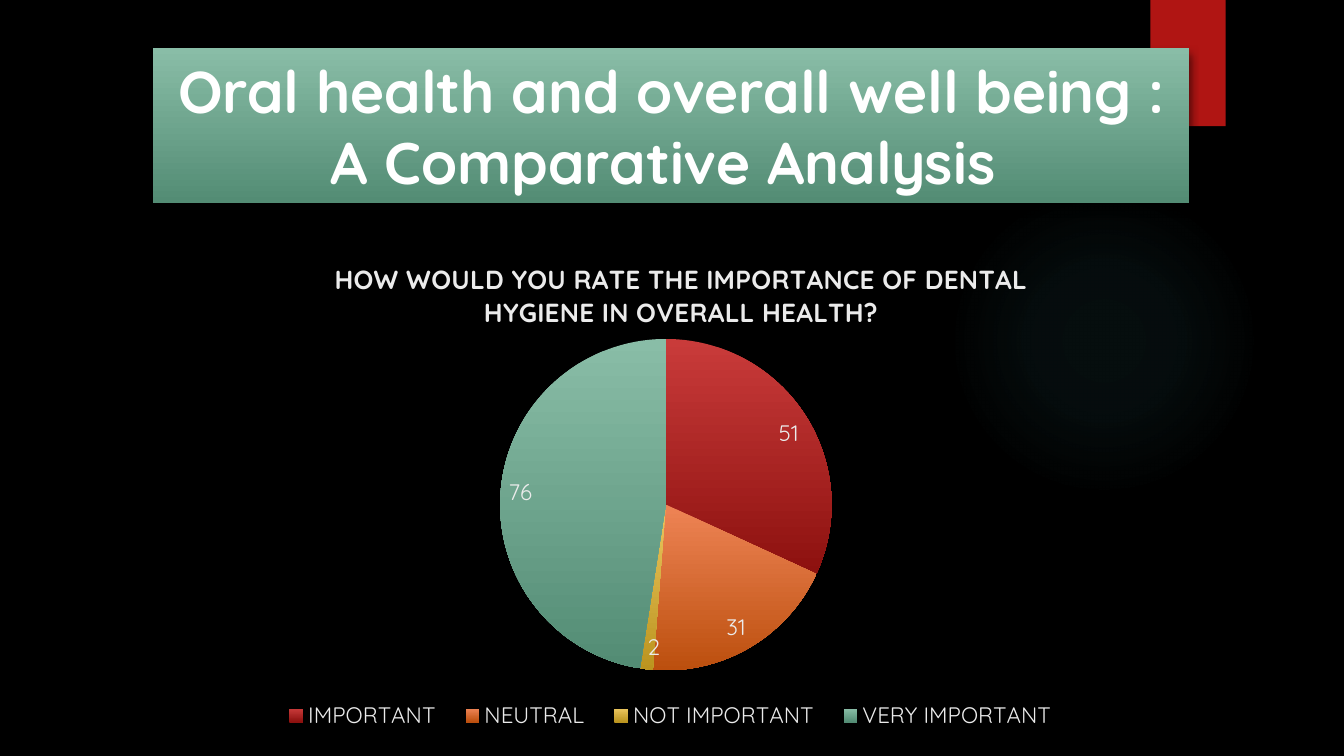
import lxml.etree
import pptx
import pptx.chart.data
import pptx.dml.color
import pptx.enum.chart
import pptx.enum.shapes
import pptx.enum.text
import pptx.oxml
import pptx.oxml.ns
import pptx.util
from pptx.util import Inches

COLORS = {
    "background": "000000",
    "shadow": "000000",
    "tab": "B01513",
    "glow": "50B9C1",
    "title": "FFFFFF",
    "chart text": "EBEBEB",
}
GREEN = ("89BDA7", "538C74")
SLICES = [
    ("IMPORTANT", 51, ("C93B3A", "8D110F")),
    ("NEUTRAL", 31, ("EE8455", "BC4F0E")),
    ("NOT IMPORTANT", 2, ("EBC65F", "BB941F")),
    ("VERY IMPORTANT", 76, GREEN),
]
FONT = "Quicksand"
NAMESPACE = pptx.oxml.ns.nsdecls("a")


def rgb(value):
    return pptx.dml.color.RGBColor.from_string(value)


def format_font(font, size, color, bold=False):
    font.name = FONT
    font.size = pptx.util.Pt(size)
    font.bold = bold
    font.color.rgb = rgb(color)


def write_text(frame, text, size, color, bold=False, align="CENTER"):
    frame.text = text
    for paragraph in frame.paragraphs:
        paragraph.alignment = getattr(pptx.enum.text.PP_ALIGN, align)
        for run in paragraph.runs:
            format_font(run.font, size, color, bold)


def fill_gradient(fill, colors):
    """Fill from the first colour at the top to the second at the bottom."""
    fill.gradient()
    fill.gradient_angle = 270
    for stop, color, position in zip(fill.gradient_stops, colors, (0, 1)):
        stop.color.rgb = rgb(color)
        stop.position = position


def set_layout(element, before, **places):
    """Put a chart part at fractions of the chart area."""
    for old in element.findall(pptx.oxml.ns.qn("c:layout")):
        element.remove(old)
    values = "".join(f'<c:{name} val="{value}"/>' for name, value in places.items())
    layout = pptx.oxml.parse_xml(
        f'<c:layout {pptx.oxml.ns.nsdecls("c")}><c:manualLayout>{values}'
        "</c:manualLayout></c:layout>"
    )
    following = [child for child in element
                 if lxml.etree.QName(child).localname in before]
    if following:
        following[0].addprevious(layout)
    else:
        element.append(layout)


class SlideBuilder:
    def __init__(self, presentation):
        self.slide = presentation.slides.add_slide(presentation.slide_layouts[6])
        background = self.slide.background.fill
        background.solid()
        background.fore_color.rgb = rgb(COLORS["background"])

    def shape(self, kind, left, top, width, height):
        shape = self.slide.shapes.add_shape(
            getattr(pptx.enum.shapes.MSO_SHAPE, kind),
            Inches(left), Inches(top), Inches(width), Inches(height))
        shape.shadow.inherit = False
        shape.line.fill.background()
        return shape

    def rectangle(self, *place, color=None, gradient=None, shadow):
        shape = self.shape("RECTANGLE", *place)
        if gradient:
            fill_gradient(shape.fill, gradient)
        else:
            shape.fill.solid()
            shape.fill.fore_color.rgb = rgb(color)
        alpha, blur, distance = shadow
        effects = shape._element.spPr.find(pptx.oxml.ns.qn("a:effectLst"))
        effects.append(pptx.oxml.parse_xml(
            f'<a:outerShdw {NAMESPACE} blurRad="{pptx.util.Pt(blur)}" '
            f'dist="{pptx.util.Pt(distance)}" dir="5400000" rotWithShape="0">'
            f'<a:srgbClr val="{COLORS["shadow"]}"><a:alpha val="{alpha * 1000}"/>'
            "</a:srgbClr></a:outerShdw>"))
        return shape

    def glow(self, *place, color, stops):
        shape = self.shape("OVAL", *place)
        shape.fill.gradient()
        gradient = shape._element.spPr.find(pptx.oxml.ns.qn("a:gradFill"))
        stop_xml = "".join(
            f'<a:gs pos="{position * 1000}"><a:srgbClr val="{color}">'
            f'<a:alpha val="{alpha * 1000}"/></a:srgbClr></a:gs>'
            for position, alpha in stops)
        gradient.getparent().replace(gradient, pptx.oxml.parse_xml(
            f'<a:gradFill {NAMESPACE} rotWithShape="1"><a:gsLst>{stop_xml}</a:gsLst>'
            '<a:path path="circle"><a:fillToRect l="50000" t="50000" r="50000" '
            'b="50000"/></a:path></a:gradFill>'))

    def title(self, *place, text):
        shape = self.rectangle(*place, gradient=GREEN, shadow=(60, 5, 3))
        frame = shape.text_frame
        frame.word_wrap = True
        frame.vertical_anchor = pptx.enum.text.MSO_ANCHOR.MIDDLE
        write_text(frame, text, size=31.5, color=COLORS["title"], bold=True)

    def pie(self, left, top, width, height, title, slices):
        data = pptx.chart.data.CategoryChartData()
        data.categories = [name for name, _, _ in slices]
        data.add_series("Series 1", [value for _, value, _ in slices])
        chart = self.slide.shapes.add_chart(
            pptx.enum.chart.XL_CHART_TYPE.PIE,
            Inches(left), Inches(top), Inches(width), Inches(height), data).chart
        color = COLORS["chart text"]
        format_font(chart.font, 10, color)

        # Chart title
        write_text(chart.chart_title.text_frame, title, 14, color, bold=True)
        chart.chart_title.include_in_layout = False

        # Slices and their values
        plot = chart.plots[0]
        plot.vary_by_categories = True
        for index, (_, _, colors) in enumerate(slices):
            point = plot.series[0].points[index]
            fill_gradient(point.format.fill, colors)
            point.format.line.fill.background()
        labels = plot.series[0].data_labels
        labels.show_value = True
        labels.show_percentage = False
        labels.position = pptx.enum.chart.XL_LABEL_POSITION.INSIDE_END
        format_font(labels.font, 12, color)

        # Legend
        chart.has_legend = True
        chart.legend.position = pptx.enum.chart.XL_LEGEND_POSITION.BOTTOM
        chart.legend.include_in_layout = False
        format_font(chart.legend.font, 12, color)

        # Places inside the chart area
        set_layout(chart.chart_title._element, ("overlay", "spPr", "txPr"),
                   xMode="edge", yMode="edge", x=0.11, y=0.03)
        set_layout(plot._element.getparent(), ("pieChart",), layoutTarget="inner",
                   xMode="edge", yMode="edge", x=0.06, y=0.18, w=0.85, h=0.59)
        set_layout(chart.legend._element, ("overlay", "spPr", "txPr"),
                   xMode="edge", yMode="edge", x=0.04, y=0.81, w=0.9, h=0.08)


def main():
    presentation = pptx.Presentation()
    presentation.slide_width = Inches(10)
    presentation.slide_height = Inches(10 * 9 / 16)
    builder = SlideBuilder(presentation)

    # Backdrop
    builder.glow(7.06, 1.38, 2.31, 2.31, color=COLORS["glow"],
                 stops=[(0, 7), (36, 6), (69, 0)])
    builder.rectangle(8.56, 0, 0.56, 0.94, color=COLORS["tab"], shadow=(45, 3, 2))

    # Heading and survey result
    builder.title(1.14, 0.36, 7.71, 1.15,
                  text="Oral health and overall well being :\vA Comparative Analysis ")
    builder.pie(1.72, 1.77, 6.67, 4.18, slices=SLICES,
                title="HOW WOULD YOU RATE THE IMPORTANCE OF DENTAL "
                      "HYGIENE IN OVERALL HEALTH?")
    presentation.save("out.pptx")


if __name__ == "__main__":
    main()
